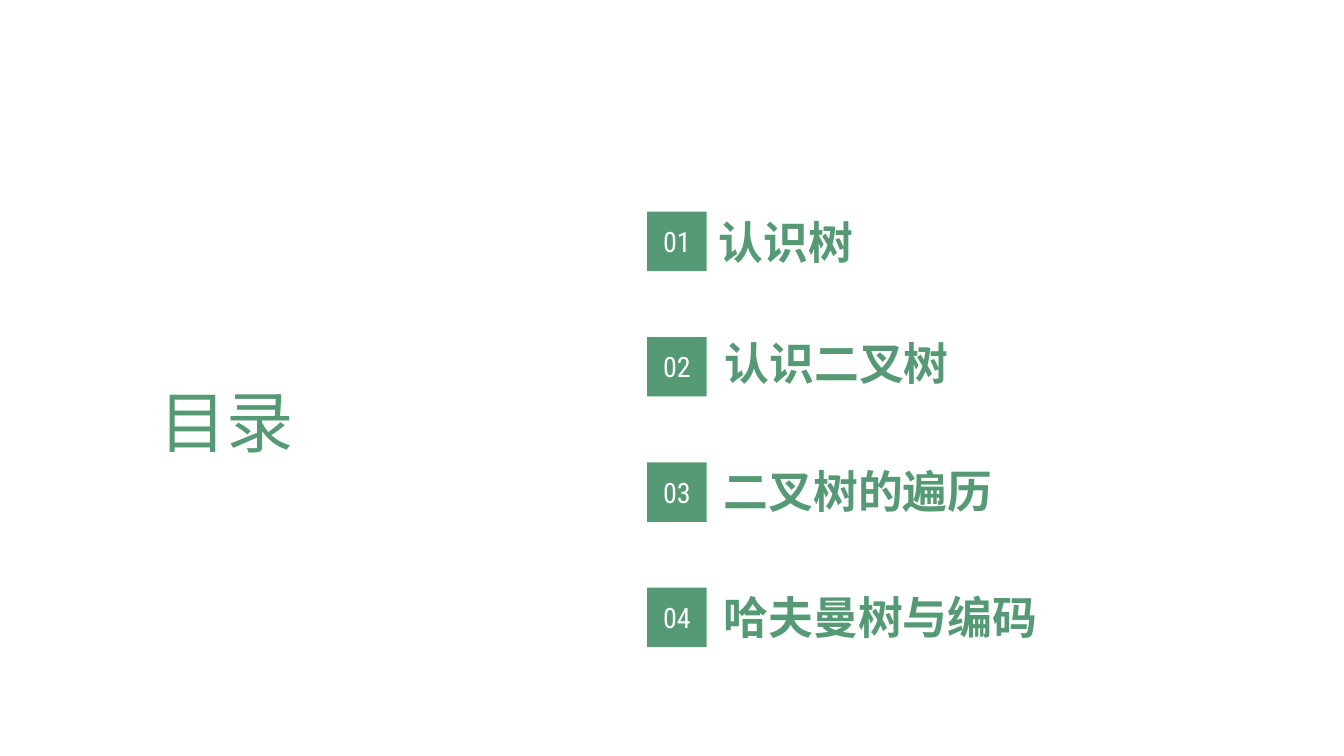
"""Build a contents slide with four numbered topics."""
import pptx
import pptx.util
import pptx.dml.color
import pptx.enum.shapes
import pptx.enum.text

GREEN = pptx.dml.color.RGBColor(0x55, 0x9A, 0x75)
WHITE = pptx.dml.color.RGBColor(0xFF, 0xFF, 0xFF)
ALIGN = pptx.enum.text.PP_ALIGN
MIDDLE = pptx.enum.text.MSO_ANCHOR.MIDDLE
TOP = pptx.enum.text.MSO_ANCHOR.TOP
WIDE = pptx.util.Inches(13.33)
HIGH = pptx.util.Inches(7.5)
HEAD = "Roboto Condensed"
BODY = "Calibri"

FIRST = 28
STEP = 16.58
TOPICS = [
    ("认识树", 52.73, 27.73),
    ("认识二叉树", 53.18, 43.73),
    ("二叉树的遍历", 53.1, 60.67),
    ("哈夫曼树与编码", 53.1, 77.33),
]


def area(left, top, width, height):
    """Turn percentages of the slide into lengths."""
    return (int(WIDE * left / 100), int(HIGH * top / 100),
            int(WIDE * width / 100), int(HIGH * height / 100))


def write(shape, text, font, size, color, align, anchor, bold=False):
    """Put one styled line of text in a shape."""
    frame = shape.text_frame
    frame.text = text
    frame.word_wrap = True
    frame.vertical_anchor = anchor
    line = frame.paragraphs[0]
    line.alignment = align
    style = line.runs[0].font
    style.name = font
    style.size = pptx.util.Pt(size)
    style.bold = bold
    style.color.rgb = color
    return line


def title(slide, text):
    """Add the heading on the left."""
    box = slide.shapes.add_textbox(*area(11.1, 46.67, 17.85, 19.33))
    line = write(box, text, HEAD, 48, GREEN, ALIGN.JUSTIFY, MIDDLE)
    line.line_spacing = 0.9


def label(slide, text, left, top):
    """Add the name of a topic."""
    box = slide.shapes.add_textbox(*area(left, top, 41.63, 8.53))
    write(box, text, BODY, 32, GREEN, ALIGN.LEFT, TOP, bold=True)


def badge(slide, index):
    """Add the numbered square of a topic."""
    place = area(48.15, FIRST + STEP * index, 4.43, 7.87)
    kind = pptx.enum.shapes.MSO_SHAPE.RECTANGLE
    box = slide.shapes.add_shape(kind, *place)
    box.shadow.inherit = False
    box.fill.solid()
    box.fill.fore_color.rgb = GREEN
    box.line.fill.background()
    write(box, f"{index + 1:02}", HEAD, 20, WHITE, ALIGN.CENTER, MIDDLE)


def main():
    """Build and save the slide."""
    deck = pptx.Presentation()
    deck.slide_width = WIDE
    deck.slide_height = HIGH
    slide = deck.slides.add_slide(deck.slide_layouts[6])
    title(slide, "目录")
    for index, (text, left, top) in enumerate(TOPICS):
        label(slide, text, left, top)
        badge(slide, index)
    deck.save("out.pptx")


if __name__ == "__main__":
    main()
